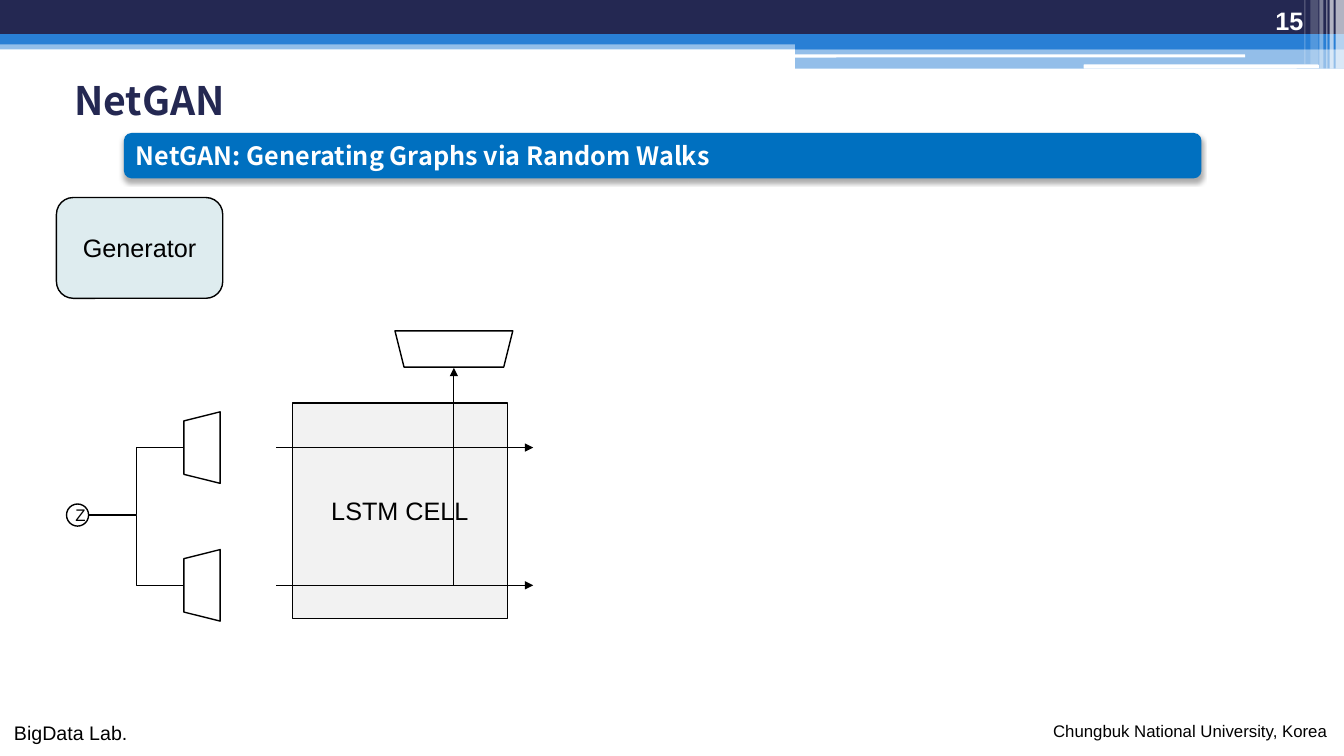
from lxml import etree
from pptx import Presentation, util as u
from pptx.dml.color import RGBColor
from pptx.enum import shapes, text
from pptx.oxml import ns

Pt = u.Pt
SHAPE = shapes.MSO_SHAPE
ANCHOR = text.MSO_ANCHOR
ALIGN = text.PP_ALIGN
COLORS = {
    "navy": "242852", "blue": "297FD5", "banner": "0070C0", "mint": "DEECEF",
    "gray": "F2F2F2", "white": "FFFFFF", "black": "000000",
}
SANS, HEADING = "Arial", "Noto Sans CJK KR"


def rgb(name):
    return RGBColor.from_string(COLORS[name])


def child(parent, tag, **attrs):
    return etree.SubElement(parent, ns.qn(tag), {k: str(v) for k, v in attrs.items()})


def write(sp, words, size, color="black", font=SANS, bold=False,
          align=ALIGN.LEFT, anchor=ANCHOR.TOP, wrap=True):
    tf = sp.text_frame
    tf.text = words
    tf.word_wrap = wrap
    tf.vertical_anchor = anchor
    p = tf.paragraphs[0]
    p.alignment = align
    r = p.runs[0]
    r.font.size, r.font.name, r.font.bold = Pt(size), font, bold
    r.font.color.rgb = rgb(color)
    return p


def add_text(s, x, y, w, h, words, size, **style):
    sp = s.shapes.add_textbox(Pt(x), Pt(y), Pt(w), Pt(h))
    return write(sp, words, size, **style)


def add_box(s, kind, x, y, w, h, fill=None, alpha=100, outlined=False, turn=0):
    sp = s.shapes.add_shape(kind, Pt(x), Pt(y), Pt(w), Pt(h))
    sp.shadow.inherit = False
    sp.rotation = turn
    if fill:
        sp.fill.solid()
        sp.fill.fore_color.rgb = rgb(fill)
        if alpha < 100:
            color = sp.fill._xPr.find(ns.qn("a:solidFill"))[0]
            child(color, "a:alpha", val=alpha * 1000)
    else:
        sp.fill.background()
    if outlined:
        sp.line.color.rgb = rgb("black")
        sp.line.width = Pt(1)
    else:
        sp.line.fill.background()
    return sp


def add_line(s, x1, y1, x2, y2, kind=shapes.MSO_CONNECTOR.STRAIGHT, arrow=True):
    line = s.shapes.add_connector(kind, Pt(x1), Pt(y1), Pt(x2), Pt(y2))
    line.line.color.rgb = rgb("black")
    line.line.width = Pt(0.75)
    if arrow:
        child(line.line._get_or_add_ln(), "a:tailEnd", type="triangle")
    child(line._element.spPr, "a:effectLst")
    return line


def add_header(s, x, y, w):
    # Full-width bands
    for top, height, fill, alpha in [(28.8, 6.5, "blue", 50), (0, 24.5, "navy", 100),
                                     (24.5, 7.2, "blue", 100)]:
        add_box(s, SHAPE.RECTANGLE, x, y + top, w, height, fill, alpha)
    # Stepped bands on the right
    step = 392
    add_box(s, SHAPE.RECTANGLE, x + w - step, y + 28.1, step, 7.2, "blue")
    add_box(s, SHAPE.RECTANGLE, x + w - step, y + 34.8, step, 14.2, "blue", 50)
    for left, top, width, height in [(567.4, 38.9, 322, 2.2), (774, 46.1, 168, 2.9)]:
        add_box(s, SHAPE.ROUNDED_RECTANGLE, x + left, y + top, width, height, "white")
    # Translucent stripes, measured from the right edge
    for back, width, height, alpha in [(6, 6, 49, 65), (10.3, 2.9, 49, 65),
                                       (12.5, 0.7, 49, 60), (17.5, 2.9, 49, 40),
                                       (24, 5.8, 46, 20), (28.3, 0.7, 46, 30)]:
        add_box(s, SHAPE.RECTANGLE, x + w - back, y, width, height, "white", alpha)


def add_footer(s, x, y, w):
    add_text(s, x, y, 95.8, 24.2, "BigData Lab.", 14, wrap=False)
    add_text(s, x + w - 211.7, y, 211.7, 21.8,
             "Chungbuk National University, Korea", 12, wrap=False)


def add_titles(s, x, y, w):
    # Title
    p = add_text(s, x, y, w, 84.2, "NetGAN", 28, color="navy", font=HEADING,
                 bold=True, anchor=ANCHOR.MIDDLE)
    p.line_spacing = 2.1
    p._p.get_or_add_pPr().set("marL", str(Pt(8.6)))
    # Banner with a soft shadow below
    banner = add_box(s, SHAPE.ROUNDED_RECTANGLE, x + 51.1, y + 84.2, 769.7, 32.4, "banner")
    write(banner, "NetGAN: Generating Graphs via Random Walks", 18, "white", HEADING,
          True, anchor=ANCHOR.MIDDLE)
    effects = banner._element.spPr.find(ns.qn("a:effectLst"))
    shadow = child(effects, "a:outerShdw", blurRad=Pt(3.5), dist=Pt(2.2),
                   dir=90 * 60000, algn="t", rotWithShape=0)
    child(child(shadow, "a:srgbClr", val=COLORS["black"]), "a:alpha", val=32000)
    # Slide number
    add_text(s, x + w - 46.8, 0, 79.9, 28.8, "15", 18, color="white", bold=True,
             align=ALIGN.RIGHT, anchor=ANCHOR.BOTTOM)


def add_generator(s, x, y, w, h):
    middle = {"align": ALIGN.CENTER, "anchor": ANCHOR.MIDDLE}
    rows = (y + 178.6, y + 277)
    # Label
    label = add_box(s, SHAPE.ROUNDED_RECTANGLE, x, y, 118.8, 72, "mint", outlined=True)
    write(label, "Generator", 18, **middle)

    # Noise input feeding two trapezoids
    size = 15.8
    noise_x, noise_y = x + 7.2, y + 218.9
    noise = add_box(s, SHAPE.OVAL, noise_x, noise_y, size, size, outlined=True)
    write(noise, "Z", 12, **middle)
    long, short = 51.1, 25.9
    center = x + 104
    for row in rows:
        add_box(s, SHAPE.TRAPEZOID, center - long / 2, row - short / 2, long, short,
                outlined=True, turn=270)
        add_line(s, center - short / 2, row, noise_x + size, noise_y + size / 2,
                 shapes.MSO_CONNECTOR.ELBOW, arrow=False)

    # LSTM cell and its output trapezoid
    side = 153.7
    cell = add_box(s, SHAPE.RECTANGLE, x + 168.5, y + h - side, side, side, "gray",
                   outlined=True)
    write(cell, "LSTM CELL", 18, **middle)
    out_x, out_y, out_w = x + 241.8, y + 95.2, 84.2
    add_box(s, SHAPE.TRAPEZOID, out_x, out_y, out_w, short, outlined=True, turn=180)

    # Flows through the cell
    for row in rows:
        add_line(s, x + 157, row, x + w, row)
    add_line(s, out_x + out_w / 2, rows[1], out_x + out_w / 2, out_y + short + 0.5)


def main():
    prs = Presentation()
    prs.slide_width, prs.slide_height = Pt(960), Pt(540)
    s = prs.slides.add_slide(prs.slide_layouts[6])
    add_header(s, 0, 0, 960)
    add_footer(s, 2.9, 511.2, 954)
    add_titles(s, 37.4, 10.8, 867.6)
    add_generator(s, 40.3, 141.1, 340.6, 300.6)
    prs.save("out.pptx")


if __name__ == "__main__":
    main()
